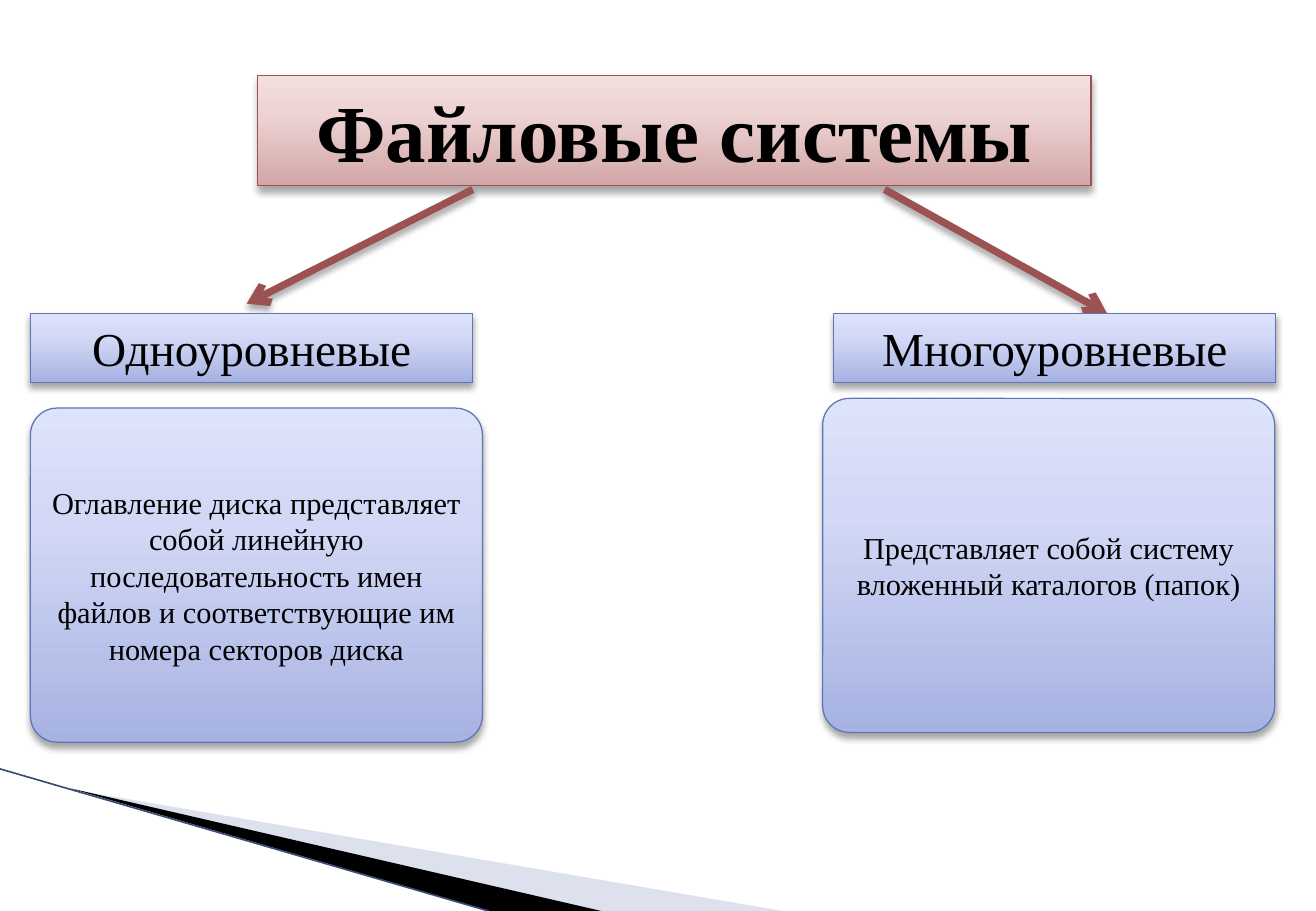
from lxml import etree
from pptx import Presentation
from pptx.dml.color import RGBColor
from pptx.enum.shapes import MSO_CONNECTOR as Connector, MSO_SHAPE as Shape
from pptx.enum.text import MSO_ANCHOR as Anchor, PP_ALIGN as Align
from pptx.oxml import parse_xml
from pptx.oxml.ns import nsdecls, qn
from pptx.util import Inches, Pt

BLACK = RGBColor(0x00, 0x00, 0x00)
PALE_BLUE = RGBColor(0xAC, 0xB4, 0xD5)
NAVY = RGBColor(0x3B, 0x4A, 0x7A)
RED_LINE = RGBColor(0x9C, 0x52, 0x52)
BLUE_LINE = RGBColor(0x60, 0x76, 0xB4)
RED_STOPS = [RGBColor(0xD3, 0xA6, 0xA6), RGBColor(0xED, 0xD3, 0xD3), RGBColor(0xF4, 0xDF, 0xDF)]
BLUE_STOPS = [RGBColor(0xA6, 0xB2, 0xE2), RGBColor(0xD2, 0xD8, 0xF5), RGBColor(0xDD, 0xE3, 0xFA)]


def add_shadow(shape):
    """Soft shadow falling straight down."""
    shape._element.spPr.append(parse_xml(
        f'<a:effectLst {nsdecls("a")}><a:outerShdw blurRad="{Pt(4)}" dist="{Pt(3)}" '
        'dir="5400000" rotWithShape="0"><a:srgbClr val="000000"><a:alpha val="35000"/>'
        '</a:srgbClr></a:outerShdw></a:effectLst>'))


def add_box(kind, place, text, size, stops, line_color, bold=False):
    """Gradient box with centred text."""
    shape = slide.shapes.add_shape(kind, *map(Inches, place))
    shape.fill.background()
    stop_xml = "".join(f'<a:gs pos="{position}000"><a:srgbClr val="{color}"/></a:gs>'
                       for position, color in zip((0, 65, 100), stops))
    properties = shape._element.spPr
    properties.replace(properties.find(qn("a:noFill")), parse_xml(
        f'<a:gradFill {nsdecls("a")} rotWithShape="1"><a:gsLst>{stop_xml}</a:gsLst>'
        '<a:lin ang="16200000" scaled="0"/></a:gradFill>'))
    shape.line.color.rgb = line_color
    shape.line.width = Pt(0.75)
    add_shadow(shape)
    shape.text_frame.word_wrap = True
    shape.text_frame.vertical_anchor = Anchor.MIDDLE
    paragraph = shape.text_frame.paragraphs[0]
    paragraph.alignment = Align.CENTER
    run = paragraph.add_run()
    run.text = text
    for name, value in {"name": "Times New Roman", "size": Pt(size), "bold": bold}.items():
        setattr(run.font, name, value)
    run.font.color.rgb = BLACK
    return shape


presentation = Presentation()
presentation.slide_width, presentation.slide_height = Inches(10.83), Inches(7.5)
slide = presentation.slides.add_slide(presentation.slide_layouts[6])

# Corner wedges
for points, color, opacity in [
    ([(0.59, 6.5), (6.44, 7.5), (4.94, 7.5)], PALE_BLUE, 40),
    ([(0.58, 6.49), (4.95, 7.5), (4.03, 7.5)], BLACK, 100),
]:
    start, *others = [(Inches(x), Inches(y)) for x, y in points]
    builder = slide.shapes.build_freeform(*start)
    builder.add_line_segments(others, close=True)
    wedge = builder.convert_to_shape()
    wedge.shadow.inherit = False
    wedge.fill.solid()
    wedge.fill.fore_color.rgb = color
    wedge.line.fill.background()
    if opacity < 100:
        color_element = wedge._element.spPr.find(qn("a:solidFill"))[0]
        etree.SubElement(color_element, qn("a:alpha"), val=str(opacity * 1000))

corner_line = slide.shapes.add_connector(
    Connector.STRAIGHT, Inches(0), Inches(6.33), Inches(4.02), Inches(7.5))
corner_line.line.color.rgb = NAVY
corner_line.line.width = Pt(0.95)
etree.SubElement(corner_line._element.spPr, qn("a:effectLst"))

# Title
add_box(Shape.RECTANGLE, (2.12, 0.62, 6.86, 0.91), "Файловые системы", 48,
        RED_STOPS, RED_LINE, bold=True)

# Arrows from the title to the two kinds
for ends in [(3.89, 1.56, 2.03, 2.5), (7.28, 1.56, 9.11, 2.58)]:
    arrow = slide.shapes.add_connector(Connector.STRAIGHT, *map(Inches, ends))
    arrow.line.color.rgb = RED_LINE
    arrow.line.width = Pt(4.33)
    etree.SubElement(arrow.line._get_or_add_ln(), qn("a:tailEnd"), type="arrow")
    add_shadow(arrow)

# Kinds of file system with their descriptions
for name, name_left, description, left, top in [
    ("Одноуровневые", 0.25,
     "Оглавление диска представляет собой линейную последовательность имен "
     "файлов и соответствующие им номера секторов диска", 0.25, 3.36),
    ("Многоуровневые", 6.86,
     "Представляет собой систему вложенный каталогов (папок)", 6.77, 3.28),
]:
    add_box(Shape.RECTANGLE, (name_left, 2.58, 3.64, 0.57), name, 28, BLUE_STOPS, BLUE_LINE)
    card = add_box(Shape.ROUNDED_RECTANGLE, (left, top, 3.72, 2.75), description, 18,
                   BLUE_STOPS, BLUE_LINE)
    card.adjustments[0] = 0.08

presentation.save("out.pptx")
